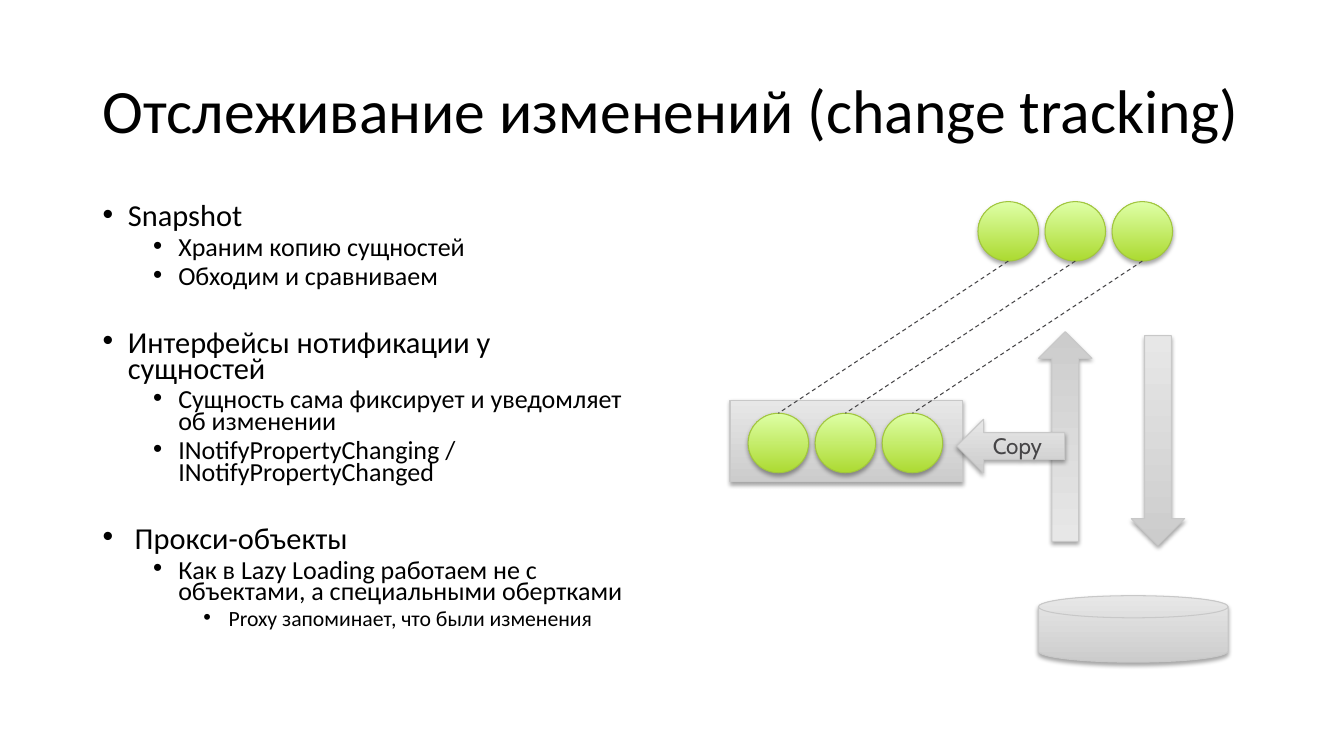
"""Build the slide on change tracking: a bullet list beside a snapshot diagram."""
from dataclasses import dataclass

from lxml import etree
from pptx import Presentation
from pptx.dml.color import RGBColor
from pptx.enum.dml import MSO_LINE
from pptx.enum.shapes import MSO_CONNECTOR, MSO_SHAPE
from pptx.enum.text import MSO_ANCHOR, MSO_AUTO_SIZE, PP_ALIGN
from pptx.oxml.ns import qn
from pptx.util import Inches, Pt

RECT, OVAL = MSO_SHAPE.RECTANGLE, MSO_SHAPE.OVAL
DOWN, LEFT = MSO_SHAPE.DOWN_ARROW, MSO_SHAPE.LEFT_ARROW
DISK = MSO_SHAPE.FLOWCHART_MAGNETIC_DISK
STRAIGHT, DASH = MSO_CONNECTOR.STRAIGHT, MSO_LINE.DASH
TOP, MIDDLE = MSO_ANCHOR.TOP, MSO_ANCHOR.MIDDLE
ALIGN_L, CENTER = PP_ALIGN.LEFT, PP_ALIGN.CENTER
NO_FIT = MSO_AUTO_SIZE.NONE

BLACK, SLATE = "000000", "464547"
SIZES = (21.7, 18.6, 15.5)
BALL_W, BALL_H, STEP, COUNT = 0.6, 0.59, 0.665, 3
LIVE_X, LIVE_Y = 9.7, 2
COPY_X, COPY_Y = 7.42, 4.1


@dataclass
class Paint:
    """Gradient from bottom to top, with an outline."""
    low: str
    high: str
    edge: str


@dataclass
class Part:
    """One shape of the diagram, in inches."""
    kind: MSO_SHAPE
    x: float
    y: float
    w: float
    h: float
    paint: Paint
    turn: int = 0
    text: str = ""


@dataclass
class Item:
    """One bullet of the list."""
    text: str
    level: int = 0
    before: float = 5


GREY = Paint("CCCCCC", "E7E7E7", "C8C8C8")
GREEN = Paint("ACDA31", "DEFFA6", "A1C53F")

ITEMS = (
    Item("Snapshot", 0, 10),
    Item("Храним копию сущностей", 1),
    Item("Обходим и сравниваем", 1),
    Item("Интерфейсы нотификации у сущностей", 0, 31),
    Item("Сущность сама фиксирует и уведомляет об изменении", 1),
    Item("INotifyPropertyChanging / INotifyPropertyChanged", 1),
    Item(" Прокси-объекты", 0, 31),
    Item("Как в Lazy Loading работаем не с объектами, "
         "а специальными обертками", 1),
    Item("Proxy запоминает, что были изменения", 2),
)


def color(code: str) -> RGBColor:
    """Turn a hex string into a colour."""
    return RGBColor.from_string(code)


def style(para, size: float, font: str, code: str) -> None:
    """Format all runs of a paragraph."""
    for run in para.runs:
        run.font.size = Pt(size)
        run.font.name = font
        run.font.color.rgb = color(code)


def shade(shape) -> None:
    """Give a shape a soft shadow below it."""
    shape.shadow.inherit = False
    effects = shape._element.spPr.find(qn("a:effectLst"))
    outer = etree.SubElement(
        effects, qn("a:outerShdw"), blurRad=str(Pt(3.1)), dist=str(Pt(1.8)),
        dir="5400000", algn="ctr", rotWithShape="0")
    tint = etree.SubElement(outer, qn("a:srgbClr"), val=BLACK)
    etree.SubElement(tint, qn("a:alpha"), val="35000")


def draw(slide, part: Part) -> None:
    """Draw one shape of the diagram."""
    box = map(Inches, (part.x, part.y, part.w, part.h))
    shape = slide.shapes.add_shape(part.kind, *box)
    shape.rotation = part.turn
    shape.fill.gradient()
    shape.fill.gradient_angle = 90
    stops = shape.fill.gradient_stops
    for stop, code, place in zip(stops, (part.paint.low, part.paint.high), (0, 1)):
        stop.color.rgb = color(code)
        stop.position = place
    shape.line.color.rgb = color(part.paint.edge)
    shape.line.width = Pt(0.75)
    shade(shape)
    if part.text:
        frame = shape.text_frame
        frame.text = part.text
        frame.vertical_anchor = MIDDLE
        frame.paragraphs[0].alignment = CENTER
        style(frame.paragraphs[0], 16, "Cabin", SLATE)


def link(slide, x1: float, y1: float, x2: float, y2: float) -> None:
    """Draw a dashed line between two points."""
    line = slide.shapes.add_connector(STRAIGHT, *map(Inches, (x1, y1, x2, y2)))
    line.line.color.rgb = color(SLATE)
    line.line.width = Pt(0.75)
    line.line.dash_style = DASH
    etree.SubElement(line._element.spPr, qn("a:effectLst"))


def head(slide) -> None:
    """Place and fill the title."""
    title = slide.shapes.title
    title.left, title.top = Inches(0.92), Inches(0.4)
    title.width, title.height = Inches(11.5), Inches(1.45)
    frame = title.text_frame
    frame.text = "Отслеживание изменений (change tracking)"
    frame.auto_size = NO_FIT
    frame.vertical_anchor = MIDDLE
    para = frame.paragraphs[0]
    para.alignment = ALIGN_L
    para.line_spacing = 0.9
    style(para, 44, "Calibri", BLACK)


def outline(slide, items: tuple[Item, ...]) -> None:
    """Write the bullet list."""
    box = slide.shapes.add_textbox(*map(Inches, (0.92, 2, 5.47, 4.76)))
    frame = box.text_frame
    frame.word_wrap = True
    frame.vertical_anchor = TOP
    for index, item in enumerate(items):
        para = frame.add_paragraph() if index else frame.paragraphs[0]
        para.text = item.text
        para.level = item.level
        para.line_spacing = 0.7
        para.space_before = Pt(item.before)
        style(para, SIZES[item.level], "Calibri", BLACK)
        props = para._p.get_or_add_pPr()
        props.set("marL", str(Inches(0.25 + 0.5 * item.level)))
        props.set("indent", str(Inches(-0.25)))
        etree.SubElement(props, qn("a:buFont"), typeface="Arial")
        etree.SubElement(props, qn("a:buChar"), char="•")


def main() -> None:
    """Build and save the slide."""
    deck = Presentation()
    deck.slide_width, deck.slide_height = Inches(13.33), Inches(7.5)
    slide = deck.slides.add_slide(deck.slide_layouts[5])
    head(slide)
    outline(slide, ITEMS)
    draw(slide, Part(DISK, 10.3, 5.91, 1.88, 0.66, GREY))
    draw(slide, Part(RECT, 7.24, 3.97, 2.31, 0.81, GREY))
    for x, y in ((LIVE_X, LIVE_Y), (COPY_X, COPY_Y)):
        for index in reversed(range(COUNT)):
            draw(slide, Part(OVAL, x + index * STEP, y, BALL_W, BALL_H, GREEN))
    draw(slide, Part(DOWN, 10.3, 3.29, 0.53, 2.08, GREY, 180))
    draw(slide, Part(LEFT, 9.49, 4.16, 1.07, 0.53, GREY, 0, "Copy"))
    for index in reversed(range(COUNT)):
        mid = BALL_W / 2 + index * STEP
        link(slide, LIVE_X + mid, LIVE_Y + BALL_H, COPY_X + mid, COPY_Y)
    draw(slide, Part(DOWN, 11.22, 3.33, 0.53, 2.08, GREY))
    deck.save("out.pptx")


if __name__ == "__main__":
    main()
